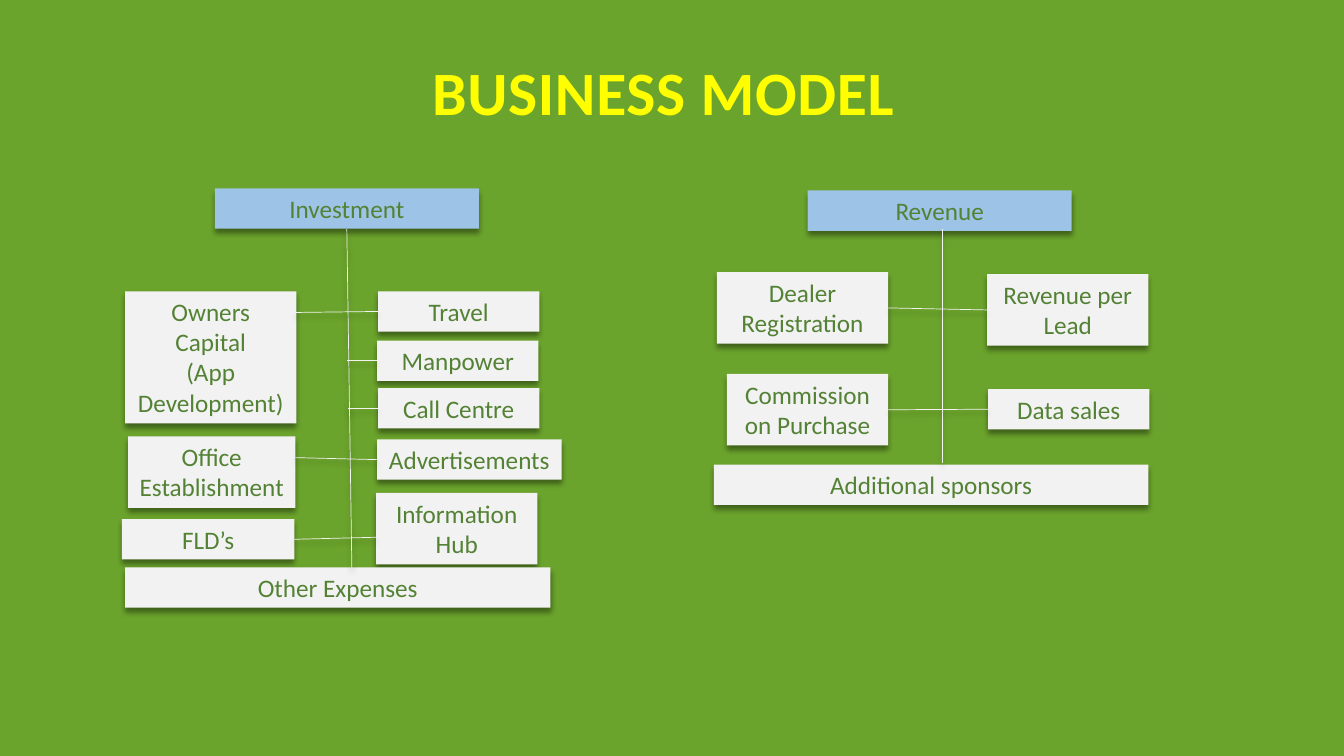
from dataclasses import dataclass

import pptx
import pptx.dml.color
import pptx.enum.shapes
import pptx.enum.text
import pptx.oxml
import pptx.oxml.ns
import pptx.util

PX = 9144
FONT = "Calibri"
GREEN, YELLOW, BLUE = "6BA42C", "FFFF00", "9DC3E6"
PALE, TEXT = "F2F2F2", "548235"
ONE_LINE, TWO_LINES, FOUR_LINES = 40, 71, 131
TOP, LEFT, BOTTOM, RIGHT = range(4)


@dataclass
class Box:
    text: str
    x: int
    y: int
    w: int
    h: int = ONE_LINE
    fill: str = PALE


@dataclass
class Link:
    x1: int
    y1: int
    x2: int
    y2: int
    start: tuple[str, int] | None = None
    end: tuple[str, int] | None = None


BOXES = [
    Box("Investment", 213, 187, 262, fill=BLUE),
    Box("Revenue", 801, 189, 262, fill=BLUE),
    Box("Owners\nCapital\n(App Development)", 124, 289, 170, FOUR_LINES),
    Box("Office Establishment", 127, 433, 166, TWO_LINES),
    Box("FLD’s", 121, 515, 171),
    Box("Travel", 375, 289, 160),
    Box("Manpower", 374, 338, 160),
    Box("Call Centre", 375, 385, 160),
    Box("Advertisements", 374, 436, 183),
    Box("Information Hub", 373, 489, 160, TWO_LINES),
    Box("Other Expenses", 124, 563, 422),
    Box("Dealer Registration", 711, 270, 170, TWO_LINES),
    Box("Commission on Purchase", 721, 371, 160, TWO_LINES),
    Box("Revenue per Lead", 979, 272, 160, TWO_LINES),
    Box("Data sales", 980, 386, 160),
    Box("Additional sponsors", 708, 461, 431),
]

LINKS = [
    Link(344, 227, 349, 563, start=("Investment", BOTTOM)),
    Link(292, 310, 375, 309, end=("Travel", LEFT)),
    Link(344, 358, 374, 358, end=("Manpower", LEFT)),
    Link(345, 405, 375, 405, end=("Call Centre", LEFT)),
    Link(293, 454, 374, 456, end=("Advertisements", LEFT)),
    Link(292, 535, 373, 533, start=("FLD’s", RIGHT)),
    Link(935, 227, 935, 459),
    Link(881, 305, 979, 307, ("Dealer Registration", RIGHT), ("Revenue per Lead", LEFT)),
    Link(881, 406, 980, 406, ("Commission on Purchase", RIGHT), ("Data sales", LEFT)),
]


def px(n: int) -> pptx.util.Emu:
    return pptx.util.Emu(n * PX)


def rgb(color: str) -> pptx.dml.color.RGBColor:
    return pptx.dml.color.RGBColor.from_string(color)


def add_shadow(sp) -> None:
    sp._element.spPr.append(pptx.oxml.parse_xml(
        f'<a:effectLst {pptx.oxml.ns.nsdecls("a")}>'
        '<a:outerShdw blurRad="50800" dist="38100" dir="5400000" algn="t" rotWithShape="0">'
        '<a:srgbClr val="000000"><a:alpha val="40000"/></a:srgbClr>'
        '</a:outerShdw></a:effectLst>'))


def add_run(p, text: str, size: int, color: str, bold: bool = False):
    p.alignment = pptx.enum.text.PP_ALIGN.CENTER
    r = p.add_run()
    r.text = text
    r.font.name = FONT
    r.font.size = pptx.util.Pt(size)
    r.font.bold = bold
    r.font.color.rgb = rgb(color)
    return r


def set_title(s, text: str) -> None:
    title = s.shapes.title
    title.left, title.top, title.width, title.height = map(px, (83, -40, 1150, 269))
    tf = title.text_frame
    tf.word_wrap = True
    tf.auto_size = pptx.enum.text.MSO_AUTO_SIZE.NONE
    tf.vertical_anchor = pptx.enum.text.MSO_ANCHOR.MIDDLE
    p = tf.paragraphs[0]
    p.line_spacing = 0.9
    r = add_run(p, text, 44, YELLOW, bold=True)
    r.font._element.set("spc", "50")


def add_box(s, box: Box):
    sp = s.shapes.add_shape(pptx.enum.shapes.MSO_SHAPE.RECTANGLE,
                            px(box.x), px(box.y), px(box.w), px(box.h))
    sp.fill.solid()
    sp.fill.fore_color.rgb = rgb(box.fill)
    sp.line.fill.background()
    add_shadow(sp)
    tf = sp.text_frame
    tf.word_wrap = True
    tf.auto_size = pptx.enum.text.MSO_AUTO_SIZE.SHAPE_TO_FIT_TEXT
    tf.vertical_anchor = pptx.enum.text.MSO_ANCHOR.TOP
    for i, text in enumerate(box.text.split("\n")):
        p = tf.add_paragraph() if i else tf.paragraphs[0]
        add_run(p, text, 18, TEXT)
    return sp


def add_link(s, link: Link, shapes: dict) -> None:
    line = s.shapes.add_connector(pptx.enum.shapes.MSO_CONNECTOR.STRAIGHT,
                                  px(link.x1), px(link.y1), px(link.x2), px(link.y2))
    if link.start:
        name, side = link.start
        line.begin_connect(shapes[name], side)
    if link.end:
        name, side = link.end
        line.end_connect(shapes[name], side)
    line.line.color.rgb = rgb(PALE)
    line.line.width = pptx.util.Pt(0.5)
    add_shadow(line)


def main() -> None:
    prs = pptx.Presentation()
    prs.slide_width, prs.slide_height = px(1333), px(750)
    s = prs.slides.add_slide(prs.slide_layouts[5])
    s.background.fill.solid()
    s.background.fill.fore_color.rgb = rgb(GREEN)
    set_title(s, "BUSINESS MODEL")
    shapes = {box.text: add_box(s, box) for box in BOXES}
    for link in LINKS:
        add_link(s, link, shapes)
    prs.save("out.pptx")


if __name__ == "__main__":
    main()
